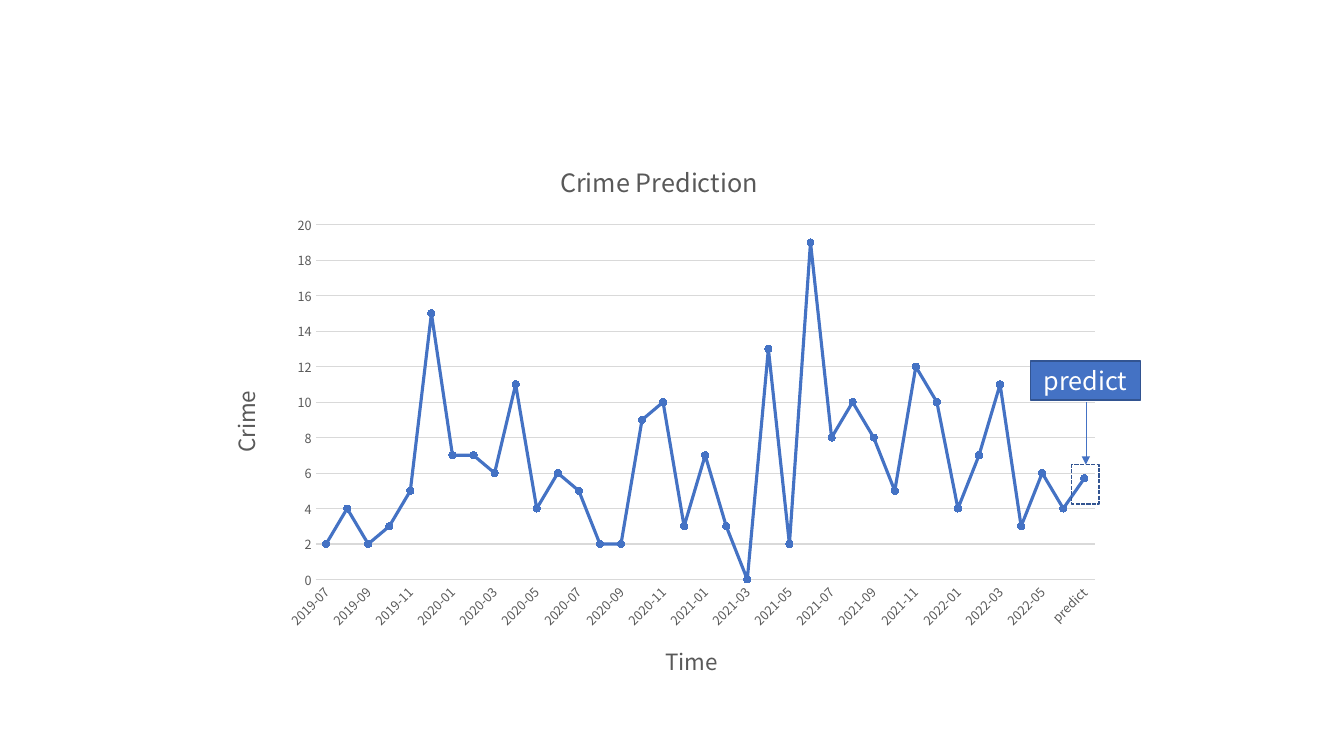
from dataclasses import dataclass
from typing import Optional
from lxml.etree import SubElement
from pptx import Presentation
from pptx.chart.data import CategoryChartData as Data
from pptx.dml.color import RGBColor as Rgb
from pptx.enum.chart import XL_CHART_TYPE as Kind, XL_MARKER_STYLE as Mark, XL_TICK_MARK as Tick
from pptx.enum.dml import MSO_LINE_DASH_STYLE as Dash
from pptx.enum.shapes import MSO_CONNECTOR as Link, MSO_SHAPE as Form
from pptx.enum.text import MSO_ANCHOR as Anchor, PP_ALIGN as Align
from pptx.oxml import parse_xml
from pptx.oxml.ns import nsdecls, qn
from pptx.util import Inches, Pt


@dataclass(frozen=True)
class Theme:
    font: str = "Noto Sans CJK SC"
    blue: Rgb = Rgb(0x44, 0x72, 0xC4)
    edge: Rgb = Rgb(0x32, 0x54, 0x91)
    grey: Rgb = Rgb(0x59, 0x59, 0x59)
    grid: Rgb = Rgb(0xD9, 0xD9, 0xD9)
    white: Rgb = Rgb(0xFF, 0xFF, 0xFF)
    head: float = 18
    name: float = 16
    tick: float = 9


@dataclass(frozen=True)
class Box:
    left: float
    top: float
    width: float
    height: float
    fill: Optional[Rgb] = None
    dash: Optional[Dash] = None
    text: str = ""


theme = Theme()
area = Box(2.04, 1.39, 9, 5.57)
counts = [2, 4, 2, 3, 5, 15, 7, 7, 6, 11, 4, 6, 5, 2, 2, 9, 10, 3, 7,
          3, 0, 13, 2, 19, 8, 10, 8, 5, 12, 10, 4, 7, 11, 3, 6, 4, 5.7]
months = [f"{2019 + n // 12}-{n % 12 + 1:02}" for n in range(6, 42)]
boxes = [Box(10.63, 4.61, 0.27, 0.39, dash=Dash.SQUARE_DOT),
         Box(10.22, 3.58, 1.09, 0.39, fill=theme.blue, text="predict")]


def style(font, size: float, color: Rgb) -> None:
    font.name, font.size, font.bold = theme.font, Pt(size), False
    font.color.rgb = color


def write(frame, text: str, size: float, color: Rgb) -> None:
    para = frame.paragraphs[0]
    para.alignment = Align.CENTER
    run = para.add_run()
    run.text = text
    style(run.font, size, color)


def place(node, **spots: float) -> None:
    layout = node.find(qn("c:layout"))
    if layout is None:
        layout = parse_xml(f"<c:layout {nsdecls('c')}/>")
        node.insert(0, layout)
    manual = SubElement(layout, qn("c:manualLayout"))
    if "w" in spots:
        SubElement(manual, qn("c:layoutTarget")).set("val", "inner")
    for key in "xy":
        SubElement(manual, qn(f"c:{key}Mode")).set("val", "edge")
    for key, spot in spots.items():
        whole = area.width if key in "xw" else area.height
        SubElement(manual, qn(f"c:{key}")).set("val", str(spot / whole))


def turn(node, angle: int) -> None:
    body = next(node.iter(qn("a:bodyPr")))
    body.set("rot", str(angle * 60000))
    body.set("vert", "horz")


def set_title(title, text: str, size: float, x: float, y: float):
    write(title.text_frame, text, size, theme.grey)
    node = title._element
    place(node, x=x, y=y)
    return node


def set_axis(axis, name: str, x: float, y: float):
    axis.major_tick_mark = axis.minor_tick_mark = Tick.NONE
    style(axis.tick_labels.font, theme.tick, theme.grey)
    return set_title(axis.axis_title, name, theme.name, x, y)


def add_plot(slide) -> None:
    data = Data()
    data.categories = months + ["predict"]
    data.add_series("Series 1", counts)
    chart = slide.shapes.add_chart(
        Kind.LINE_MARKERS, Inches(area.left), Inches(area.top),
        Inches(area.width), Inches(area.height), data).chart
    style(chart.font, 10, theme.grey)
    chart.has_legend = False
    chart.has_title = True
    set_title(chart.chart_title, "Crime Prediction", theme.head, 3.47, 0.15)
    place(chart._chartSpace.chart.plotArea, x=1.09, y=0.84, w=7.73, h=3.52)
    chart.plots[0].vary_by_categories = False
    time, crime = chart.category_axis, chart.value_axis
    set_axis(time, "Time", 4.52, 4.95)
    turn(time._element.find(qn("c:txPr")), -45)
    time.format.line.color.rgb = theme.grid
    time.format.line.width = Pt(0.75)
    skip = parse_xml(f'<c:tickLblSkip {nsdecls("c")} val="2"/>')
    time._element.find(qn("c:noMultiLvlLbl")).addprevious(skip)
    turn(set_axis(crime, "Crime", 0.18, 2.45), -90)
    crime.minimum_scale, crime.maximum_scale, crime.major_unit = 0, 20, 2
    crime.format.line.fill.background()
    grid = crime.major_gridlines.format.line
    grid.color.rgb, grid.width = theme.grid, Pt(0.75)
    row = chart.plots[0].series[0]
    row.smooth = False
    row.format.line.color.rgb, row.format.line.width = theme.blue, Pt(2.25)
    dot = row.marker
    dot.style, dot.size = Mark.CIRCLE, 5
    dot.format.fill.solid()
    dot.format.fill.fore_color.rgb = theme.blue
    dot.format.line.color.rgb = theme.blue


def add_box(slide, box: Box) -> None:
    shape = slide.shapes.add_shape(
        Form.RECTANGLE, Inches(box.left), Inches(box.top), Inches(box.width), Inches(box.height))
    shape.shadow.inherit = False
    shape.line.color.rgb, shape.line.width = theme.edge, Pt(1)
    if box.dash:
        shape.line.dash_style = box.dash
    if box.fill is None:
        shape.fill.background()
    else:
        shape.fill.solid()
        shape.fill.fore_color.rgb = box.fill
    if box.text:
        shape.text_frame.vertical_anchor = Anchor.MIDDLE
        write(shape.text_frame, box.text, theme.head, theme.white)


def add_arrow(slide, x: float, top: float, end: float) -> None:
    arrow = slide.shapes.add_connector(
        Link.STRAIGHT, Inches(x), Inches(top), Inches(x), Inches(end))
    arrow.line.color.rgb, arrow.line.width = theme.blue, Pt(0.5)
    SubElement(arrow.line._get_or_add_ln(), qn("a:tailEnd")).set("type", "triangle")
    SubElement(arrow._element.spPr, qn("a:effectLst"))


deck = Presentation()
deck.slide_width, deck.slide_height = Inches(13.33), Inches(7.5)
slide = deck.slides.add_slide(deck.slide_layouts[6])
add_plot(slide)
for box in boxes:
    add_box(slide, box)
add_arrow(slide, 10.77, 3.99, 4.61)
deck.save("out.pptx")
